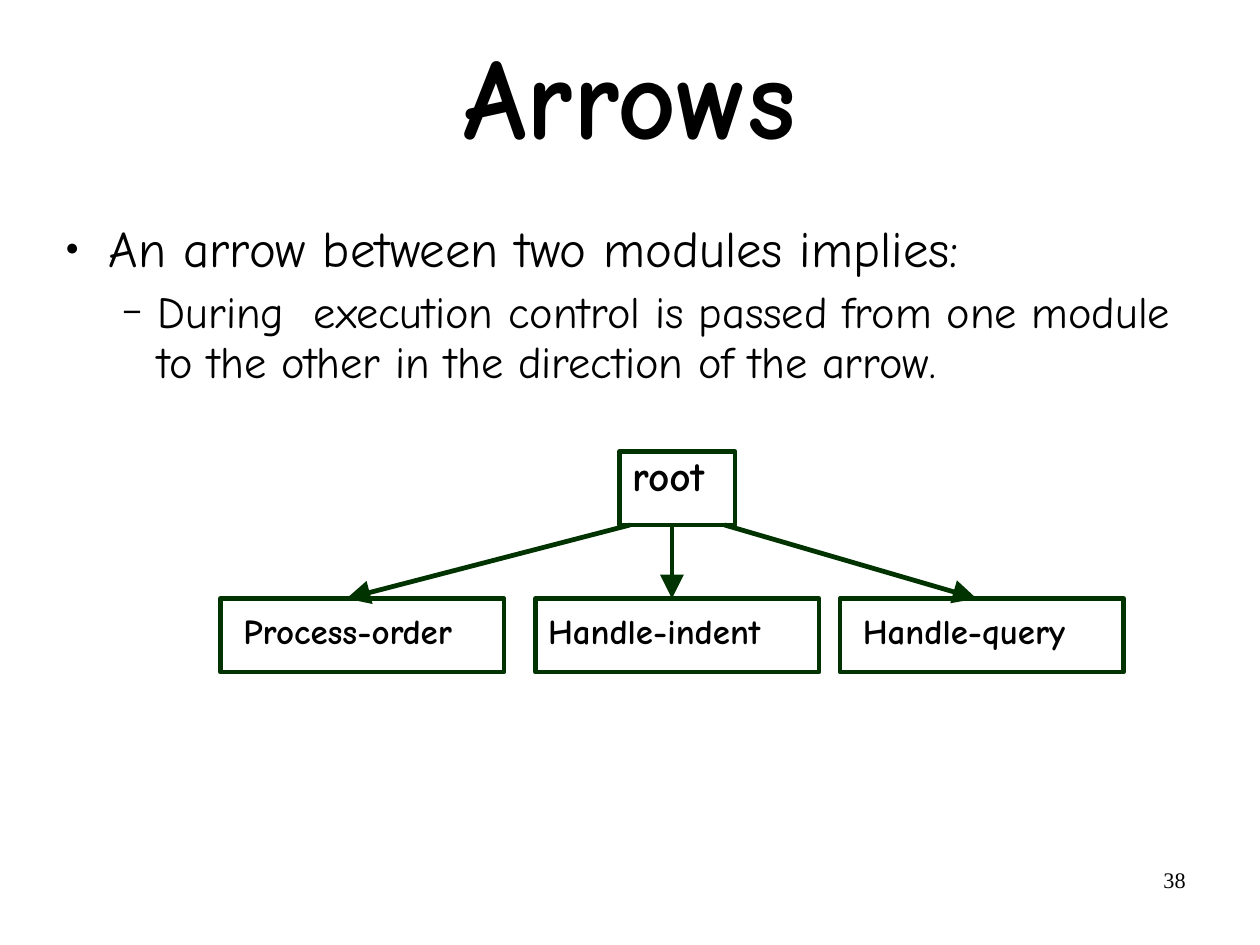
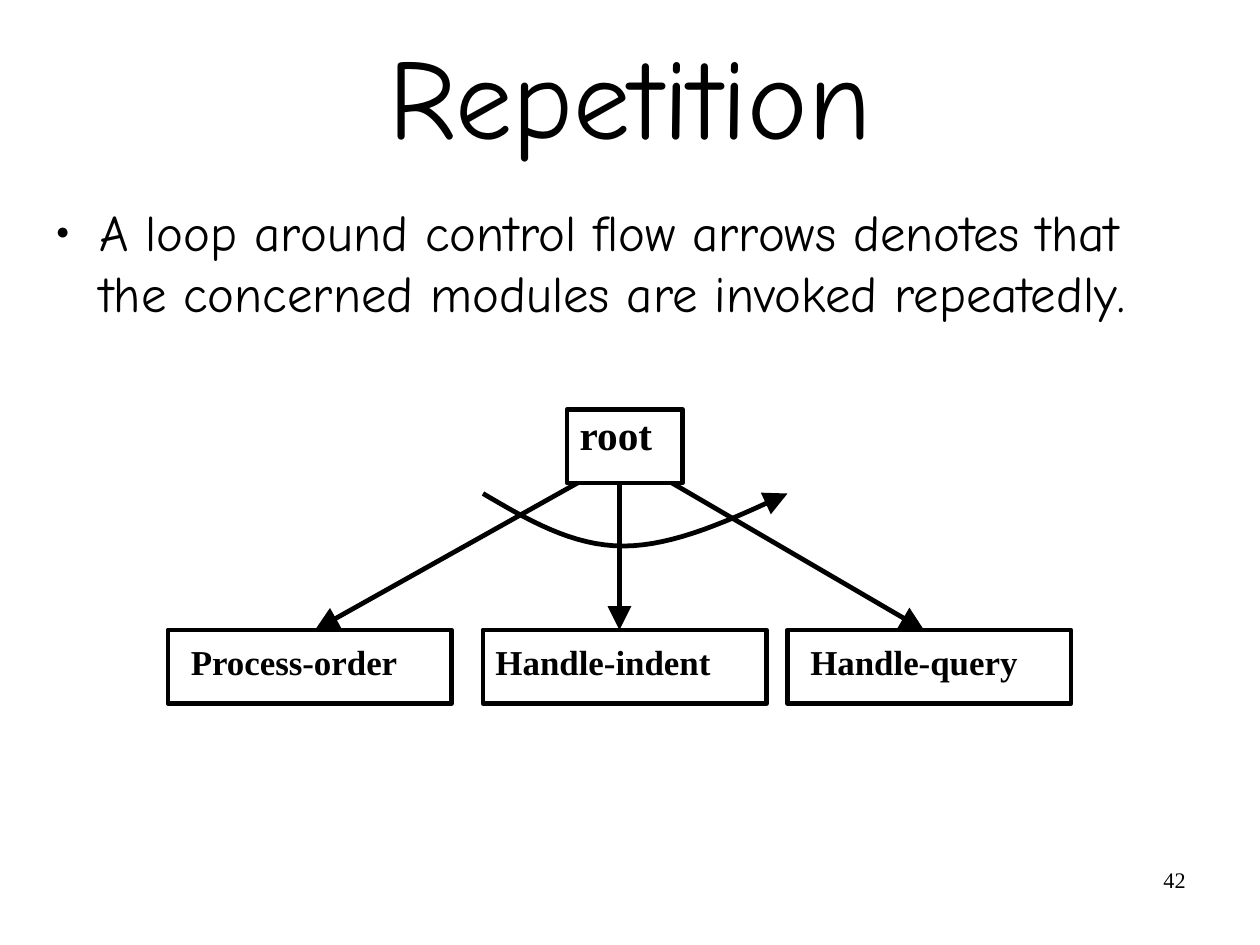
import pptx
import pptx.util
import pptx.dml.color
import pptx.enum.text
import pptx.enum.shapes
import pptx.oxml.ns
import lxml.etree

Pt = pptx.util.Pt
qn = pptx.oxml.ns.qn
Sub = lxml.etree.SubElement
Align = pptx.enum.text.PP_ALIGN
Kind = pptx.enum.shapes.MSO_SHAPE
Rgb = pptx.dml.color.RGBColor.from_string

COLORS = {"ink": "000000", "green": "003300"}
COMIC, TIMES = "Comic Neue", "Times New Roman"

deck = pptx.Presentation()
deck.slide_width = pptx.util.Cm(28)
deck.slide_height = pptx.util.Cm(21)
COL, ROW = deck.slide_width / 120, deck.slide_height / 90

TITLE = (8.8, 2.2, 102.4, 14.9)
PAGE = (86, 82, 28, 6.2)
ROOT = (38, 11, 7)
BOXES = [("Process-order", 0, 0.2), ("Handle-indent", 30, 0.11), ("Handle-query", 59, 0.2)]
LEVELS = [
    {"char": "●", "size": 45, "left": 0.38, "hang": 0.38, "pt": 32, "line": 1, "gap": 0, "after": 1},
    {"char": "−", "size": 75, "left": 0.81, "hang": 0.31, "pt": 28, "line": 0.94, "gap": 5.5, "after": 10.9},
]

SLIDES = [
    {
        "title": "Arrows", "bold": True, "page": "38",
        "body": (6, 20, 109.5, 54),
        "list": [
            "An arrow between two modules implies:",
            "During  execution control is passed from one module to the other in the direction of the arrow.",
        ],
        "left": 21, "top": 43, "base": 57, "font": COMIC, "color": "green",
        "tips": [(39, 12), (43, 43), (48, 72)], "loop": None,
    },
    {
        "title": "Repetition", "bold": False, "page": "42",
        "body": (5.1, 18.5, 108.6, 55.5),
        "list": ["A loop around control flow arrows denotes that the concerned modules are invoked repeatedly."],
        "left": 16, "top": 39, "base": 60, "font": TIMES, "color": "ink",
        "tips": [(39, 14), (43, 43), (48, 72)],
        "loop": [
            [(46, 47), (50.25, 49.5), (54.5, 52), (59.35, 52)],
            [(59.35, 52), (64.25, 52), (69.6, 49.5), (75, 47)],
        ],
    },
]


def write(par, text, font, size, bold=False, line=1, align=Align.LEFT):
    par.text = text
    par.alignment = align
    par.line_spacing = line
    par.space_before = Pt(0)
    par.font.name = font
    par.font.size = Pt(size)
    par.font.bold = bold
    par.font.color.rgb = Rgb(COLORS["ink"])


def pad(frame, left=0.02, top=0.06, right=0.02, low=0.06):
    frame.word_wrap = True
    frame.auto_size = pptx.enum.text.MSO_AUTO_SIZE.NONE
    frame.vertical_anchor = pptx.enum.text.MSO_ANCHOR.TOP
    frame.margin_left, frame.margin_top, frame.margin_right, frame.margin_bottom = [
        pptx.util.Inches(side) for side in (left, top, right, low)
    ]


for data in SLIDES:
    slide = deck.slides.add_slide(deck.slide_layouts[1])
    shapes = slide.shapes
    title, body = shapes.title, slide.placeholders[1]
    page = shapes.add_textbox(0, 0, 0, 0)
    for shape, (x, y, w, h) in ((title, TITLE), (body, data["body"]), (page, PAGE)):
        shape.left, shape.top = round(x * COL), round(y * ROW)
        shape.width, shape.height = round(w * COL), round(h * ROW)

    pad(title.text_frame)
    title.text_frame.vertical_anchor = pptx.enum.text.MSO_ANCHOR.MIDDLE
    write(title.text_frame.paragraphs[0], data["title"], COMIC, 72, data["bold"], 0.94, Align.CENTER)
    pad(page.text_frame, 0.1, 0.05, 0.1, 0.05)
    write(page.text_frame.paragraphs[0], data["page"], TIMES, 14, align=Align.RIGHT)

    frame = body.text_frame
    pad(frame)
    for level, text in enumerate(data["list"]):
        look = LEVELS[level]
        par = frame.add_paragraph() if level else frame.paragraphs[0]
        par.level = level
        prop = par._p.get_or_add_pPr()
        prop.set("marL", str(pptx.util.Inches(look["left"])))
        prop.set("indent", str(-pptx.util.Inches(look["hang"])))
        tint = Sub(prop, qn("a:buClr"))
        Sub(tint, qn("a:srgbClr"), val=COLORS["ink"])
        Sub(prop, qn("a:buSzPct"), val=str(look["size"] * 1000))
        Sub(prop, qn("a:buChar"), char=look["char"])
        write(par, text, COMIC, look["pt"], line=look["line"])
        par.space_before = Pt(look["gap"])
        par.space_after = Pt(look["after"])

    left, top, base = data["left"], data["top"], data["base"]
    color = Rgb(COLORS[data["color"]])
    step, wide, high = ROOT
    cells = [("root", left + step, top, wide, 0.11, 0.06, 26)]
    cells += [(name, left + x, base, 27, inset, 0.15, 22) for name, x, inset in BOXES]
    for name, x, y, w, inset, drop, size in cells:
        box = shapes.add_shape(
            Kind.ROUNDED_RECTANGLE, round(x * COL), round(y * ROW), round(w * COL), round(high * ROW)
        )
        box.adjustments[0] = 0
        box.shadow.inherit = False
        box.fill.background()
        box.line.color.rgb = color
        box.line.width = Pt(3)
        pad(box.text_frame, inset, drop)
        write(box.text_frame.paragraphs[0], name, data["font"], size, True, 0.85)

    arrows = []
    for start, end in data["tips"]:
        arrow = shapes.add_connector(
            pptx.enum.shapes.MSO_CONNECTOR.STRAIGHT,
            round((left + start) * COL), round((top + high) * ROW),
            round((left + end) * COL), round(base * ROW),
        )
        arrows.append(arrow)

    if data["loop"]:
        dots = []
        for a, b, c, d in data["loop"]:
            for i in range(17):
                t = i / 16
                dots.append(tuple(
                    (1 - t) ** 3 * a[k] + 3 * t * (1 - t) ** 2 * b[k] + 3 * t * t * (1 - t) * c[k] + t ** 3 * d[k]
                    for k in (0, 1)
                ))
        dots = [(x * COL, y * ROW) for x, y in dots]
        pen = shapes.build_freeform(*dots[0])
        pen.add_line_segments(dots[1:], close=False)
        curve = pen.convert_to_shape()
        curve.fill.background()
        arrows.append(curve)

    for arrow in arrows:
        arrow.line.color.rgb = color
        arrow.line.width = Pt(3)
        Sub(arrow.line._get_or_add_ln(), qn("a:tailEnd"), type="triangle", w="lg", len="lg")
        Sub(arrow._element.spPr, qn("a:effectLst"))

deck.save("out.pptx")
